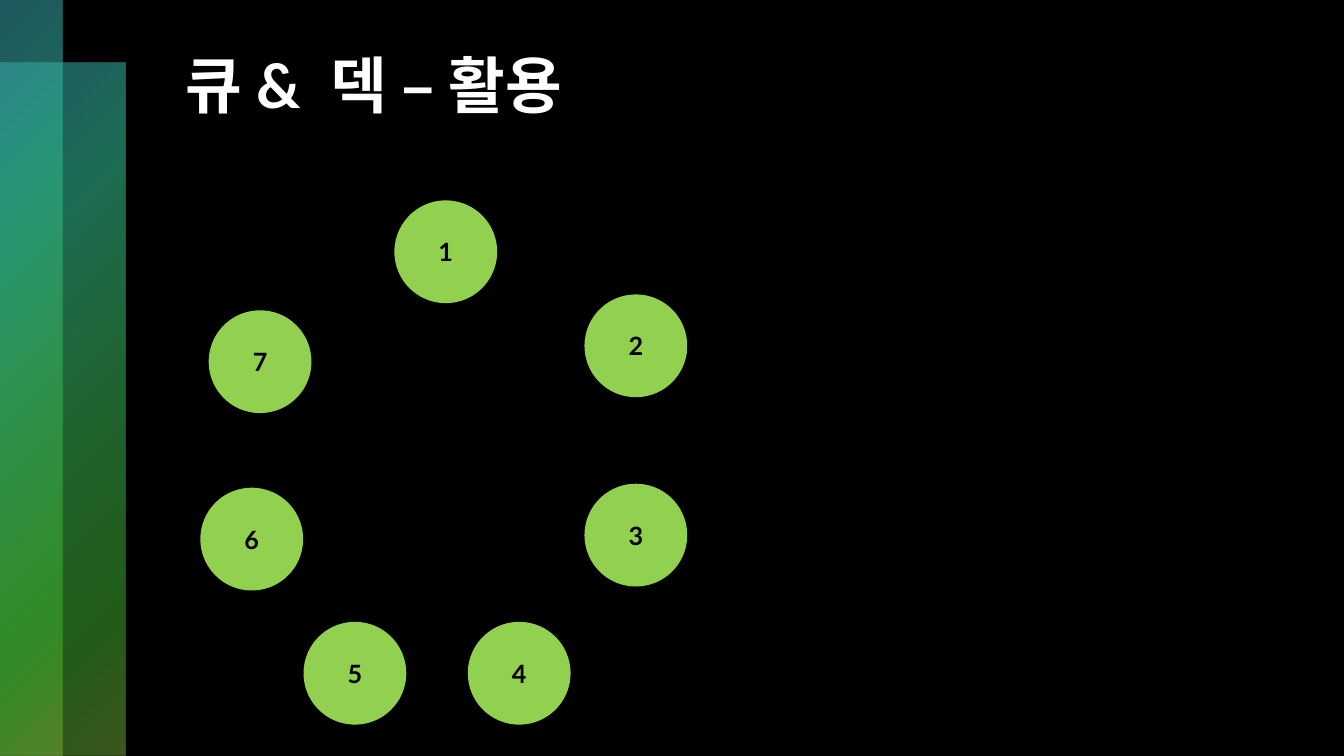
from dataclasses import dataclass

from lxml import etree
from pptx import Presentation
from pptx.dml.color import RGBColor
from pptx.enum.shapes import MSO_SHAPE
from pptx.enum.text import MSO_ANCHOR, PP_ALIGN
from pptx.oxml.ns import qn
from pptx.util import Cm, Pt

RECTANGLE, OVAL = MSO_SHAPE.RECTANGLE, MSO_SHAPE.OVAL
TOP, MIDDLE = MSO_ANCHOR.TOP, MSO_ANCHOR.MIDDLE
LEFT, CENTER = PP_ALIGN.LEFT, PP_ALIGN.CENTER
TITLE_ONLY = 5

SLIDE_WIDTH, SLIDE_HEIGHT = 33.87, 19.05
BAND_WIDTH = 1.58
NODE_SIZE = 2.59
# Left and top of each numbered node, clockwise from 1
NODE_CORNERS = [
    (9.94, 5.05),
    (14.73, 7.42),
    (14.73, 12.19),
    (11.79, 15.67),
    (7.65, 15.67),
    (5.05, 12.29),
    (5.26, 7.82),
]


@dataclass(frozen=True)
class Theme:
    font: str = "Lato"
    background: str = "000000"
    title_color: str = "FFFFFF"
    node_fill: str = "92D050"
    node_text: str = "000000"
    title_size: int = 44
    node_text_size: int = 18
    # Position, colour and opacity, all but the colour in percent
    band_stops: tuple = (
        (0, "3FAFBF", 50),
        (25, "30B58E", 60),
        (50, "3CB65F", 55),
        (81, "43B931", 50),
        (99, "7AAF3A", 50),
    )


class SlideBuilder:
    def __init__(self, deck, theme):
        self.theme = theme
        self.slide = deck.slides.add_slide(deck.slide_layouts[TITLE_ONLY])
        fill = self.slide.background.fill
        fill.solid()
        fill.fore_color.rgb = RGBColor.from_string(theme.background)

    def add_span(self, para, text, size, color):
        span = para.add_run()
        span.text = text
        span.font.name = self.theme.font
        span.font.size = Pt(size)
        span.font.bold = True
        span.font.color.rgb = RGBColor.from_string(color)

    def title(self, text, left, top, width, height):
        box = self.slide.shapes.title
        box.left, box.top = Cm(left), Cm(top)
        box.width, box.height = Cm(width), Cm(height)
        box.text_frame.vertical_anchor = TOP
        para = box.text_frame.paragraphs[0]
        para.alignment = LEFT
        para.line_spacing = 0.9
        self.add_span(para, text, self.theme.title_size, self.theme.title_color)

    def shape(self, kind, left, top, width, height):
        shape = self.slide.shapes.add_shape(
            kind, Cm(left), Cm(top), Cm(width), Cm(height))
        shape.shadow.inherit = False
        shape.line.fill.background()
        return shape

    def band(self, top, width):
        """Add a translucent side band, with colours spreading from its top left."""
        band = self.shape(RECTANGLE, 0, top, width, SLIDE_HEIGHT - top)
        band.fill.gradient()
        gradient = band.element.spPr.find(qn("a:gradFill"))
        for child in list(gradient):
            gradient.remove(child)
        stops = etree.SubElement(gradient, qn("a:gsLst"))
        for position, color, opacity in self.theme.band_stops:
            stop = etree.SubElement(stops, qn("a:gs"), pos=str(position * 1000))
            tint = etree.SubElement(stop, qn("a:srgbClr"), val=color)
            etree.SubElement(tint, qn("a:alpha"), val=str(opacity * 1000))
        spread = etree.SubElement(gradient, qn("a:path"), attrib={"path": "circle"})
        etree.SubElement(spread, qn("a:fillToRect"), r="100000", b="100000")

    def node(self, label, left, top):
        node = self.shape(OVAL, left, top, NODE_SIZE, NODE_SIZE)
        node.fill.solid()
        node.fill.fore_color.rgb = RGBColor.from_string(self.theme.node_fill)
        node.text_frame.vertical_anchor = MIDDLE
        para = node.text_frame.paragraphs[0]
        para.alignment = CENTER
        self.add_span(para, label, self.theme.node_text_size, self.theme.node_text)


def main():
    deck = Presentation()
    deck.slide_width, deck.slide_height = Cm(SLIDE_WIDTH), Cm(SLIDE_HEIGHT)
    page = SlideBuilder(deck, Theme())
    page.band(top=BAND_WIDTH, width=2 * BAND_WIDTH)
    page.band(top=0, width=BAND_WIDTH)
    page.title("큐 &  덱 – 활용", 4.42, 1.27, 26.34, 4.32)
    for number, (left, top) in enumerate(NODE_CORNERS, start=1):
        page.node(str(number), left, top)
    deck.save("out.pptx")


if __name__ == "__main__":
    main()
